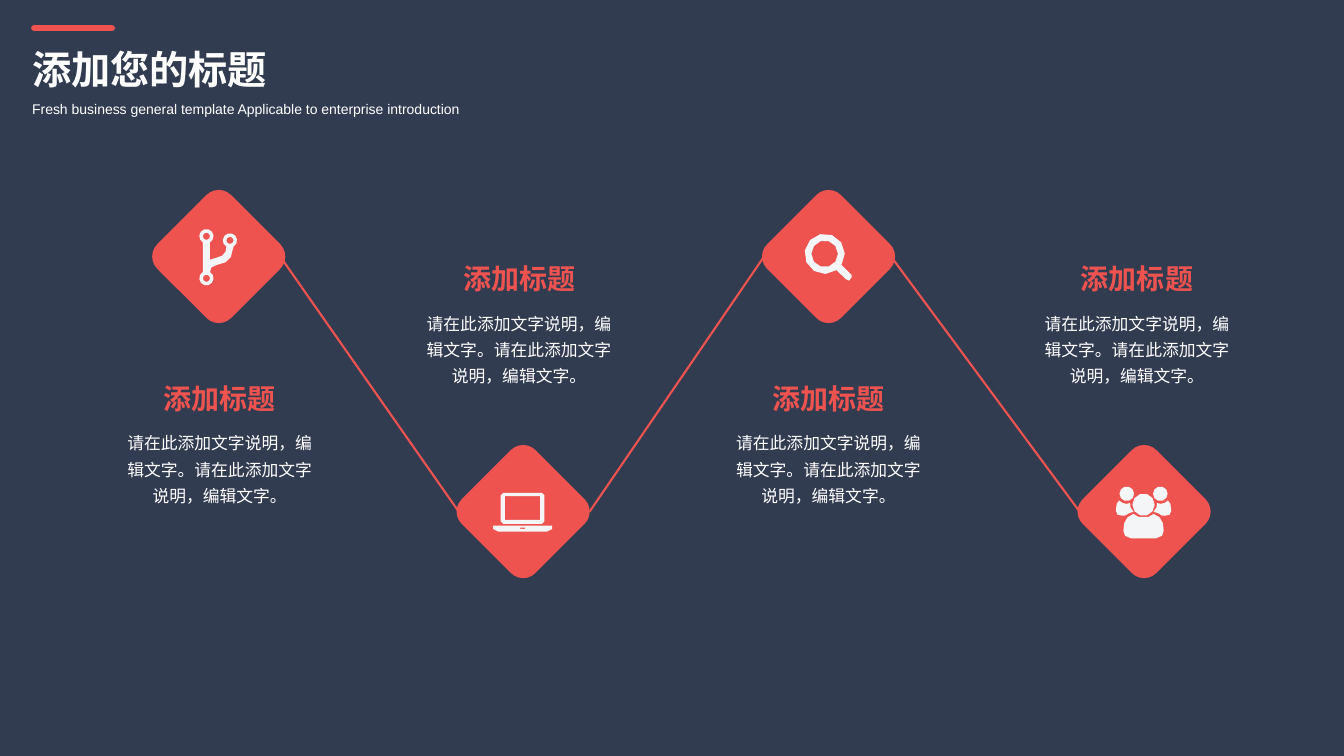
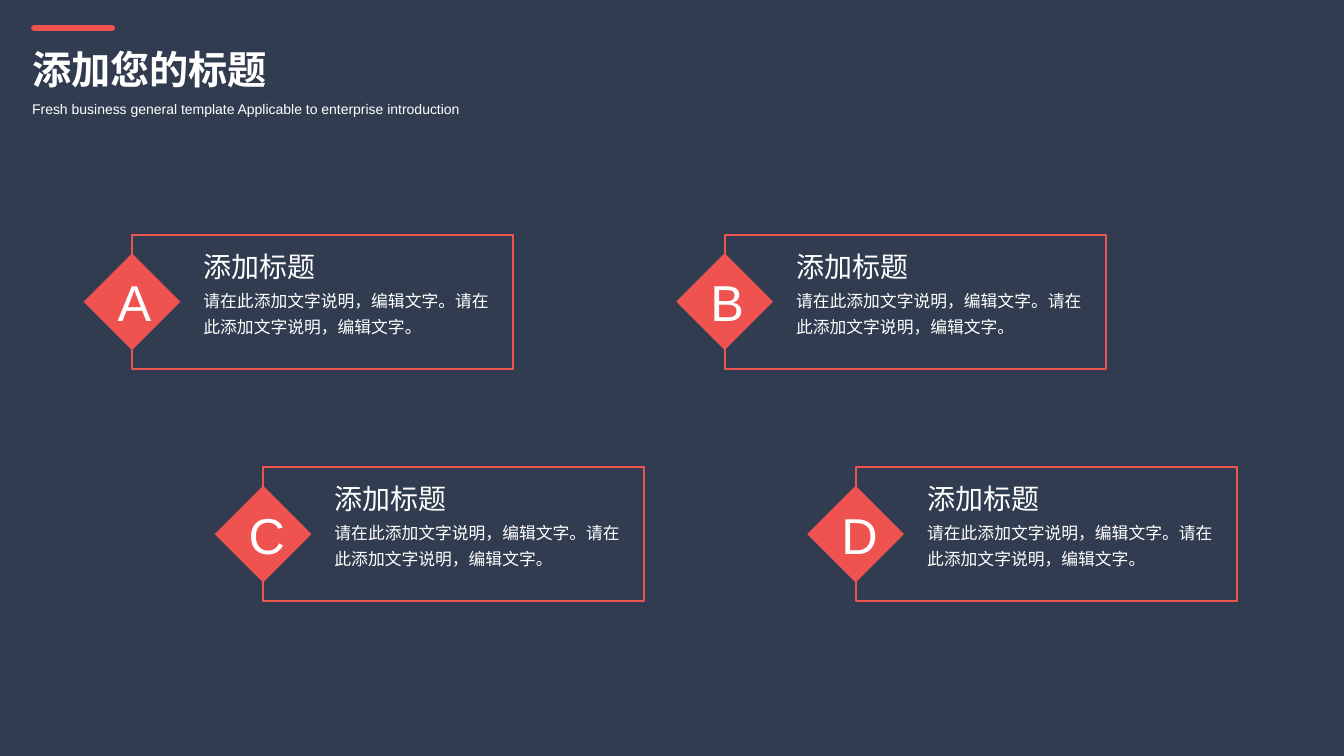
"""Build two dark slides: a zigzag of four icon steps and a staggered set of four lettered cards."""
from dataclasses import dataclass
from math import ceil, cos, radians, sin

from lxml.etree import SubElement
from pptx import Presentation
from pptx.dml.color import RGBColor as Rgb
from pptx.enum.shapes import MSO_CONNECTOR as Connector, MSO_SHAPE as Preset
from pptx.enum.text import MSO_ANCHOR as Anchor, MSO_AUTO_SIZE as AutoSize, PP_ALIGN as Align
from pptx.oxml.ns import qn
from pptx.util import Emu, Pt

COLUMNS, ROWS = 160, 90
CELL = 76200


@dataclass(frozen=True)
class Theme:
    """Colours, font and type sizes of the deck."""
    background: Rgb = Rgb.from_string("323C50")
    accent: Rgb = Rgb.from_string("EF5350")
    icon: Rgb = Rgb.from_string("F4F5F7")
    text: Rgb = Rgb.from_string("FFFFFF")
    font: str = "Arial"
    title: int = 28
    subtitle: int = 10
    heading: int = 20
    body: int = 12
    letter: int = 36
    rule: float = 1.5
    bar: float = 4.5


THEME = Theme()
TITLE = "添加您的标题"
SUBTITLE = "Fresh business general template Applicable to enterprise introduction"
HEADING = "添加标题"
BODY = "请在此添加文字说明，编辑文字。请在此添加文字说明，编辑文字。"


def grid(*cells):
    """Turn grid cells into slide lengths."""
    return [Emu(round(cell * CELL)) for cell in cells]


def write(frame, text, size, color=THEME.text, bold=False, align=Align.LEFT, spacing=None):
    """Put one styled paragraph in a text frame."""
    para = frame.paragraphs[0]
    para.text = text
    para.alignment = align
    para.line_spacing = spacing
    font = para.font
    font.name, font.size, font.bold = THEME.font, Pt(size), bold
    font.color.rgb = color


def add_text(page, area, text, size, wrap=True, **style):
    """Add a text box at a grid area."""
    frame = page.shapes.add_textbox(*grid(*area)).text_frame
    frame.word_wrap = wrap
    frame.auto_size = AutoSize.SHAPE_TO_FIT_TEXT
    write(frame, text, size, **style)


def add_line(page, start, end, width, cap="flat"):
    """Add a straight accent line without a shadow."""
    line = page.shapes.add_connector(Connector.STRAIGHT, *grid(*start, *end))
    line.line.color.rgb = THEME.accent
    line.line.width = Pt(width)
    properties = line.element.spPr
    properties.find(qn("a:ln")).set("cap", cap)
    SubElement(properties, qn("a:effectLst"))


def paint(shape, color):
    """Give a shape a plain fill, no outline and no shadow."""
    shape.shadow.inherit = False
    shape.fill.solid()
    shape.fill.fore_color.rgb = color
    shape.line.fill.background()


def add_centred(page, preset, center, size):
    """Add an accent shape around a centre."""
    x, y = center
    shape = page.shapes.add_shape(preset, *grid(x - size / 2, y - size / 2, size, size))
    paint(shape, THEME.accent)
    return shape


def arc(x, y, radius, start, end):
    """List points along a circular arc, angles in degrees."""
    steps = ceil((end - start) / 36)
    angles = [radians(start + (end - start) * step / steps) for step in range(steps + 1)]
    return [(x + radius * cos(angle), y + radius * sin(angle)) for angle in angles]


def circle(x, y, radius):
    """List the points of a full circle."""
    return arc(x, y, radius, 0, 360)[:-1]


def rectangle(left, top, right, bottom):
    """List the corners of a rectangle."""
    return [(left, top), (right, top), (right, bottom), (left, bottom)]


def chamfered(left, top, right, bottom, cut):
    """List the outline of a rectangle with cut corners."""
    return [(left + cut, top), (right - cut, top), (right, top + cut), (right, bottom - cut),
            (right - cut, bottom), (left + cut, bottom), (left, bottom - cut), (left, top + cut)]


def mirror(points):
    """Flip an outline from left to right."""
    return [(-x, y) for x, y in reversed(points)]


def branch_icon():
    """Outline a forked branch with three ring nodes."""
    nodes = [(-1.4, 2.5), (-1.4, -2.5), (1.4, -2)]
    outline = [
        *arc(*nodes[0], 0.85, -60, 240), *arc(*nodes[1], 0.85, 120, 420),
        (-1, 0.3), (-0.3, 0.1), (0.5, -0.2), (0.9, -0.7),
        *arc(*nodes[2], 0.85, 120, 420),
        (1.5, 0), (0.9, 0.6), (-0.1, 0.9), (-0.8, 1.2),
    ]
    return [outline, *(circle(*node, 0.42) for node in nodes)]


def laptop_icon():
    """Outline a laptop."""
    base = [(-3.5, 1.6), (3.5, 1.6), (3.5, 2), (2.9, 2.3), (-2.9, 2.3), (-3.5, 2)]
    return [base, chamfered(-2.6, -2.3, 2.6, 1.4, 0.3), rectangle(-2.1, -1.9, 2.1, 0.9),
            rectangle(-0.3, 1.85, 0.3, 1.97)]


def search_icon():
    """Outline a magnifying glass."""
    handle = [(2.8, 2.1), (2.8, 2.4), (2.5, 2.8), (2.1, 2.6)]
    return [[*arc(-0.4, -0.4, 2.4, 54, 393), *handle], circle(-0.4, -0.4, 1.58)]


def people_icon():
    """Outline a group of three people."""
    half_body = [(0.6, 0.55), (1.2, 0.2), (1.9, 0.6), (2.3, 1.3),
                 (2.4, 2.2), (2.2, 2.8), (1.5, 3.1)]
    shoulder = [(-2.2, 0.4), (-2.6, 0.4), (-3.1, 0.3), (-3.3, -0.2), (-3.2, -1), (-2.9, -1.4),
                (-2.5, -1.1), (-2, -1), (-1.6, -1.1), (-1.55, -0.6), (-1.2, -0.05), (-1.7, 0.1)]
    return [circle(0, -0.9, 1.33), half_body + mirror(half_body), shoulder, mirror(shoulder),
            circle(-2, -2.2, 0.87), circle(2, -2.2, 0.87)]


def add_icon(page, center, contours):
    """Draw contours as one freeform around a centre."""
    x, y = center
    first, *others = [[grid(x + dx, y + dy) for dx, dy in contour] for contour in contours]
    builder = page.shapes.build_freeform(*first[0])
    builder.add_line_segments(first[1:], close=True)
    for contour in others:
        builder.move_to(*contour[0])
        builder.add_line_segments(contour[1:], close=True)
    paint(builder.convert_to_shape(), THEME.icon)


def add_page(deck):
    """Add a blank page with the shared header."""
    page = deck.slides.add_slide(deck.slide_layouts[6])
    add_text(page, (2.64, 11.4, 53.76, 3.24), SUBTITLE, THEME.subtitle, wrap=False)
    add_line(page, (4.08, 3.36), (13.32, 3.36), THEME.bar, cap="rnd")
    add_text(page, (2.64, 4.8, 30.72, 6.84), TITLE, THEME.title, wrap=False, bold=True)
    return page


def add_badge(page, center, contours):
    """Add a rounded diamond with its icon."""
    x, y = center
    add_centred(page, Preset.ROUNDED_RECTANGLE, center, 12.42).rotation = 45
    add_icon(page, (x - 0.06, y + 0.08), contours)


def add_caption(page, x, y):
    """Add a centred heading with its description."""
    add_text(page, (x - 8.52, y, 17.04, 5.28), HEADING, THEME.heading,
             color=THEME.accent, bold=True, align=Align.CENTER)
    add_text(page, (x - 12.96, y + 5.4, 25.92, 10.68), BODY, THEME.body,
             align=Align.CENTER, spacing=1.3)


def add_zigzag(page):
    """Add four steps, high and low in turn, joined by lines."""
    high, low = 30.54, 60.9
    under, over = 44.86, 30.6
    badges = [((62.28, low), laptop_icon()), ((136.2, low), people_icon()),
              ((26.04, high), branch_icon()), ((98.64, high), search_icon())]
    captions = [(26.16, under), (61.8, over), (98.64, under), (135.36, over)]
    links = [(33.36, 54.6), (106.08, 128.52), (90.96, 70.2)]
    for center, contours in badges:
        add_badge(page, center, contours)
    for x, y in captions:
        add_caption(page, x, y)
    for upper, lower in links:
        add_line(page, (upper, high), (lower, low), THEME.rule)


def add_card(page, letter, left, top):
    """Add an outlined card with a lettered diamond on its left edge."""
    width, height = 45.36, 15.96
    frame = page.shapes.add_shape(Preset.RECTANGLE, *grid(left, top, width, height))
    frame.shadow.inherit = False
    frame.fill.background()
    frame.line.color.rgb = THEME.accent
    frame.line.width = Pt(THEME.rule)
    badge = add_centred(page, Preset.DIAMOND, (left, top + height / 2), 11.52)
    badge.text_frame.vertical_anchor = Anchor.MIDDLE
    write(badge.text_frame, letter, THEME.letter, align=Align.CENTER)
    add_text(page, (left + 7.32, top + 1.14, 18.6, 5.28), HEADING, THEME.heading)
    add_text(page, (left + 7.32, top + 5.34, 36.72, 7.56), BODY, THEME.body, spacing=1.3)


def add_cards(page):
    """Add two rows of two cards, the second row shifted right."""
    for index, letter in enumerate("ABCD"):
        row, column = divmod(index, 2)
        add_card(page, letter, 15.72 + 70.56 * column + 15.6 * row, 27.94 + 27.67 * row)


def main():
    """Build and save the deck."""
    deck = Presentation()
    deck.slide_width, deck.slide_height = grid(COLUMNS, ROWS)
    backdrop = deck.slide_master.background.fill
    backdrop.solid()
    backdrop.fore_color.rgb = THEME.background
    add_zigzag(add_page(deck))
    add_cards(add_page(deck))
    deck.save("out.pptx")


if __name__ == "__main__":
    main()
